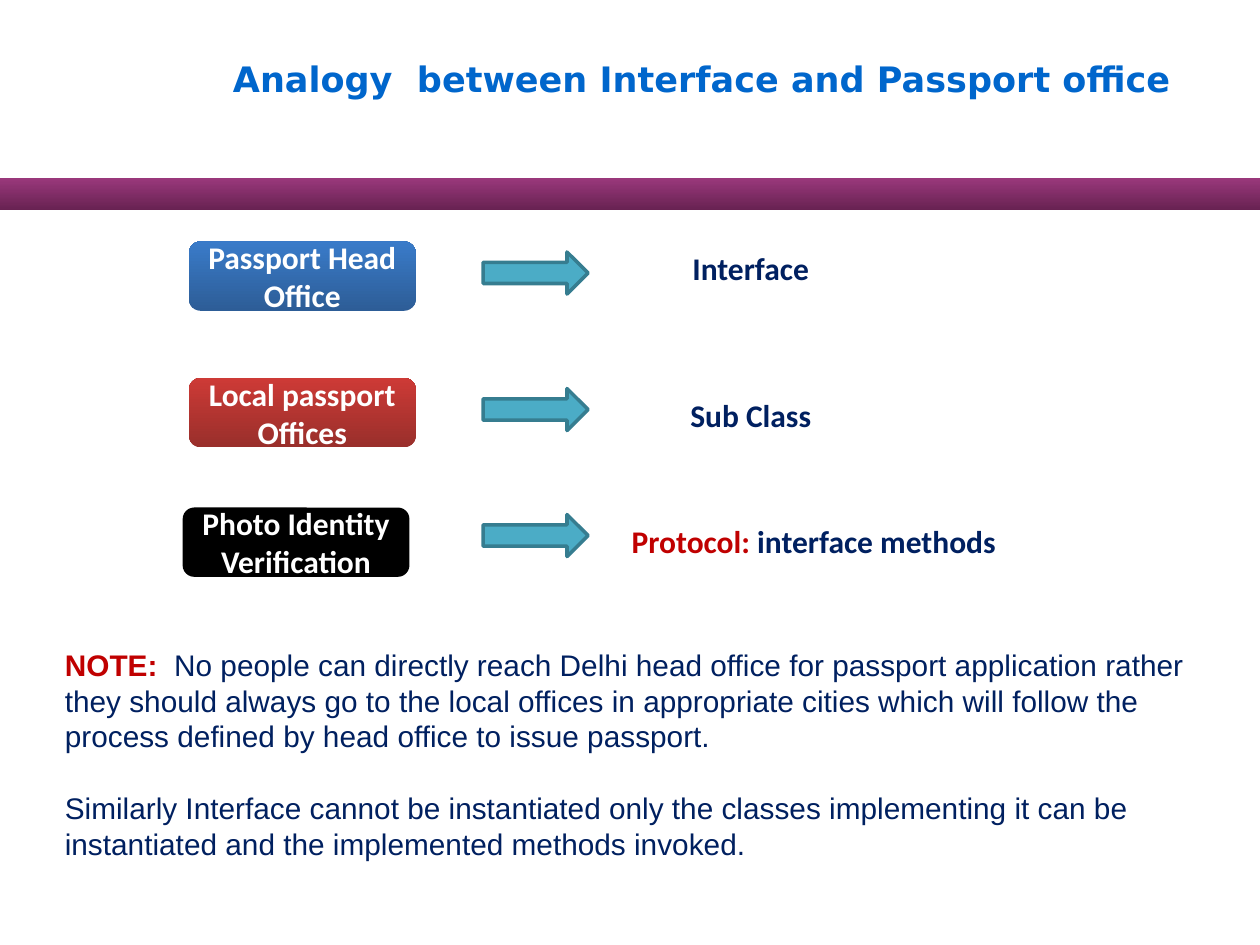
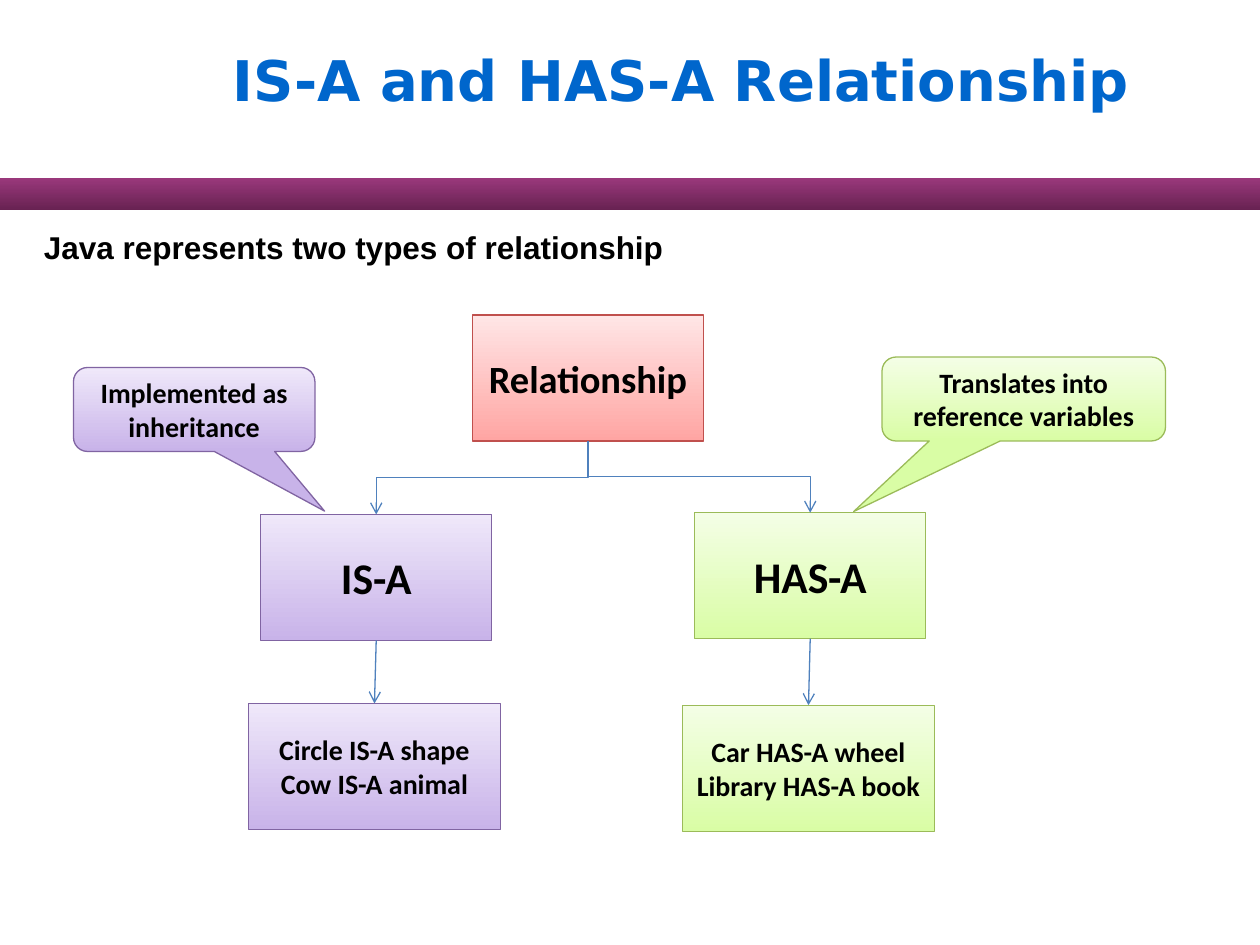
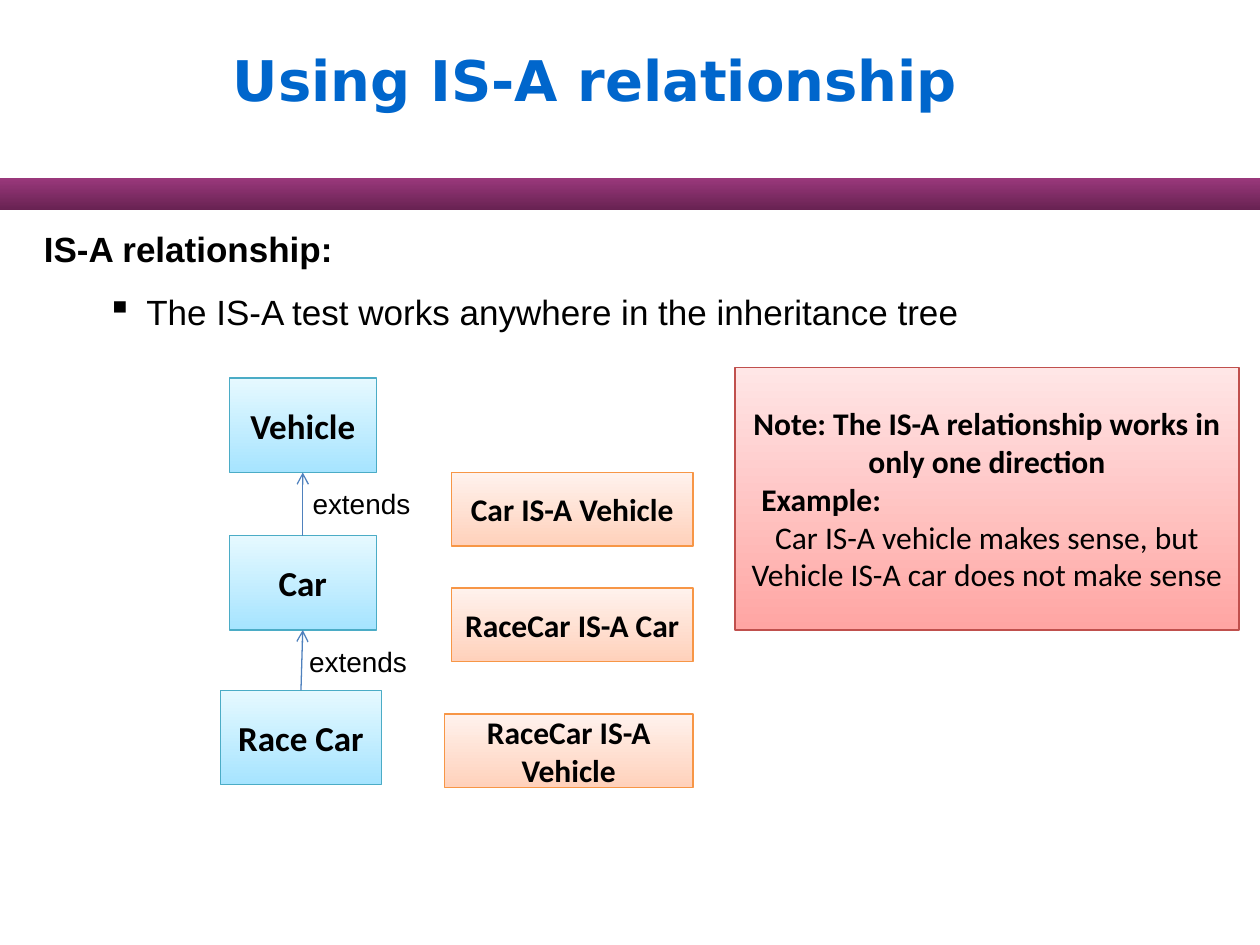
from dataclasses import dataclass

from lxml import etree
from pptx import Presentation
from pptx import util as u
from pptx.dml import color as dml
from pptx.enum import shapes, text
from pptx.oxml import ns

Pt = u.Pt
Kind = shapes.MSO_SHAPE
LEFT, CENTER = text.PP_ALIGN.LEFT, text.PP_ALIGN.CENTER
TOP_SITE, BOTTOM_SITE = 0, 2


@dataclass(frozen=True)
class Tone:
    bottom: str
    top: str
    line: str = ""
    width: float = 0.75


@dataclass(frozen=True)
class Theme:
    title_font: str = "DejaVu Sans"
    body_font: str = "Arial"
    shape_font: str = "Calibri"
    title: str = "0066CC"
    black: str = "000000"
    white: str = "FFFFFF"
    navy: str = "002060"
    alert: str = "C00000"
    connector: str = "4F81BD"
    band: Tone = Tone("682252", "99387B")
    head_office: Tone = Tone("2D5D97", "397BC9")
    local_office: Tone = Tone("992F2B", "CD3A36")
    verification: Tone = Tone("000000", "000000")
    plain: Tone = Tone("FFFFFF", "FFFFFF")
    arrow: Tone = Tone("4BACC6", "4BACC6", "367D90", 2)
    red: Tone = Tone("FFA5A3", "FFE6E6", "C0504D")
    purple: Tone = Tone("C8B3E9", "EFE8FA", "8064A2")
    green: Tone = Tone("D9FDA5", "F4FEE6", "9BBB59")
    blue: Tone = Tone("A6E4FF", "E6F9FF", "4BACC6")
    orange: Tone = Tone("FFD1BB", "FFF2ED", "F79646")
    title_size: int = 32
    small_title_size: int = 20
    node_size: int = 25
    root_size: int = 22
    large_size: int = 20
    medium_size: int = 18
    note_size: int = 17
    small_size: int = 16


def rgb(value):
    return dml.RGBColor.from_string(value)


class Deck:
    """Holds the theme and the current slide, and draws each kind of element."""

    def __init__(self, theme):
        self.theme = theme
        self.presentation = Presentation()
        self.presentation.slide_width = Pt(720)
        self.presentation.slide_height = Pt(540)
        self.slide = None

    def new_slide(self, title, size):
        layout = self.presentation.slide_layouts[6]
        self.slide = self.presentation.slides.add_slide(layout)
        self.box((0, 102, 720, 18), self.theme.band)
        title_box = self.text_box((126, 0, 594, 90), [title], size, self.theme.title,
                                  bold=True, font=self.theme.title_font)
        title_box.text_frame.vertical_anchor = text.MSO_ANCHOR.MIDDLE

    def fill_text(self, shape, lines, size, color, bold, align, font):
        frame = shape.text_frame
        frame.word_wrap = True
        for index, line in enumerate(lines):
            paragraph = frame.add_paragraph() if index else frame.paragraphs[0]
            paragraph.alignment = align
            paragraph.font.size = Pt(size)
            paragraph.font.name = font
            paragraph.font.bold = bold
            paragraph.font.color.rgb = rgb(color)
            if isinstance(line, str):
                paragraph.add_run().text = line
                continue
            for words, run_color, run_bold in line:
                run = paragraph.add_run()
                run.text = words
                run.font.color.rgb = rgb(run_color)
                run.font.bold = run_bold

    def text_box(self, area, lines, size, color, bold=False, font=None):
        shape = self.slide.shapes.add_textbox(*map(Pt, area))
        self.fill_text(shape, lines, size, color, bold, LEFT, font or self.theme.body_font)
        return shape

    def box(self, area, tone, lines=(), size=18, color=None, kind=Kind.RECTANGLE, adjust=()):
        shape = self.slide.shapes.add_shape(kind, *map(Pt, area))
        shape.shadow.inherit = False
        for index, value in enumerate(adjust):
            shape.adjustments[index] = value
        if tone.bottom == tone.top:
            shape.fill.solid()
            shape.fill.fore_color.rgb = rgb(tone.top)
        else:
            shape.fill.gradient()
            shape.fill.gradient_angle = 90
            for stop, value in zip(shape.fill.gradient_stops, (tone.bottom, tone.top)):
                stop.color.rgb = rgb(value)
        if tone.line:
            shape.line.color.rgb = rgb(tone.line)
            shape.line.width = Pt(tone.width)
        else:
            shape.line.fill.background()
        shape.text_frame.vertical_anchor = text.MSO_ANCHOR.MIDDLE
        self.fill_text(shape, lines, size, color or self.theme.black, True, CENTER,
                       self.theme.shape_font)
        return shape

    def style_arrow(self, connector):
        connector.line.color.rgb = rgb(self.theme.connector)
        connector.line.width = Pt(0.75)
        properties = connector._element.spPr
        line = properties.find(ns.qn("a:ln"))
        etree.SubElement(line, ns.qn("a:tailEnd"), type="arrow")
        etree.SubElement(properties, ns.qn("a:effectLst"))

    def straight_arrow(self, start, start_site, end, end_site):
        connector = self.slide.shapes.add_connector(shapes.MSO_CONNECTOR.STRAIGHT, 0, 0, 0, 0)
        connector.begin_connect(start, start_site)
        connector.end_connect(end, end_site)
        self.style_arrow(connector)

    def branch_arrow(self, parent, child):
        start_x, start_y = parent.left + parent.width // 2, parent.top + parent.height
        end_x, end_y = child.left + child.width // 2, child.top
        center_x, center_y = (start_x + end_x) // 2, (start_y + end_y) // 2
        half_run, half_drop = abs(end_x - start_x) // 2, (end_y - start_y) // 2
        side = 1 if end_x > start_x else -1
        connector = self.slide.shapes.add_connector(
            shapes.MSO_CONNECTOR.ELBOW,
            center_x + side * half_drop, center_y - half_run,
            center_x - side * half_drop, center_y + half_run)
        connector._element.spPr.xfrm.set("rot", str((180 + side * 90) * 60000))
        self.style_arrow(connector)

    def indent(self, paragraph, left, first=0, bullet=None):
        properties = paragraph._p.get_or_add_pPr()
        properties.set("marL", str(int(Pt(left))))
        properties.set("indent", str(int(Pt(first))))
        if bullet:
            mark = etree.Element(ns.qn("a:buChar"), char=bullet)
            properties.insert(0, mark)


def passport_slide(deck):
    theme = deck.theme
    deck.new_slide("Analogy  between Interface and Passport office", theme.small_title_size)
    rows = [
        ((108, 138), theme.head_office, "Passport Head Office",
         144, (132, 162), "Interface"),
        ((108, 216), theme.local_office, "Local passport Offices",
         222, (216, 162), "Sub Class"),
        ((104.4, 290), theme.verification, "Photo Identity Verification",
         294, (288, 234), [("Protocol:", theme.alert, True),
                           (" interface methods", theme.navy, True)]),
    ]
    for place, tone, office, arrow_top, (top, width), meaning in rows:
        deck.box((*place, 129.6, 39.6), tone, [office], theme.medium_size, theme.white,
                 Kind.ROUNDED_RECTANGLE)
        deck.box((276, arrow_top, 60, 24), theme.arrow, kind=Kind.RIGHT_ARROW)
        deck.box((348, top, width, 42), theme.plain, [meaning], theme.medium_size, theme.navy,
                 Kind.ROUNDED_RECTANGLE)
    note = deck.text_box((30, 366, 662.4, 129.6), [
        [("NOTE:  ", theme.alert, True),
         ("No people can directly reach Delhi head office for passport application rather "
          "they should always go to the local offices in appropriate cities which will follow "
          "the process defined by head office to issue passport.", theme.navy, False)],
        "Similarly Interface cannot be instantiated only the classes implementing it can be "
        "instantiated and the implemented methods invoked.",
    ], theme.note_size, theme.navy)
    note.text_frame.paragraphs[1].space_before = Pt(20.5)


def relationship_slide(deck):
    theme = deck.theme
    deck.new_slide("IS-A and HAS-A Relationship", theme.title_size)
    deck.text_box((18, 126.5, 684, 390), ["Java represents two types of relationship"],
                  theme.medium_size, theme.black, bold=True)
    root = deck.box((270, 180, 132, 72), theme.red, ["Relationship"], theme.root_size)
    branches = [
        (theme.purple, "IS-A", (149, 294), ["Circle IS-A shape", "Cow IS-A animal"],
         (142, 402), "Implemented as inheritance", (42, 210, 138, 48), (0.54, 1.21)),
        (theme.green, "HAS-A", (397, 293), ["Car HAS-A wheel", "Library HAS-A book"],
         (390, 403), "Translates into reference variables", (504, 204, 162, 48), (-0.6, 1.34)),
    ]
    for tone, name, place, examples, example_place, remark, remark_area, pointer in branches:
        node = deck.box((*place, 132, 72), tone, [name], theme.node_size)
        example = deck.box((*example_place, 144, 72), tone, examples, theme.small_size)
        deck.branch_arrow(root, node)
        deck.straight_arrow(node, BOTTOM_SITE, example, TOP_SITE)
        deck.box(remark_area, tone, [remark], theme.small_size,
                 kind=Kind.ROUNDED_RECTANGULAR_CALLOUT, adjust=pointer)


def is_a_slide(deck):
    theme = deck.theme
    deck.new_slide("Using IS-A relationship", theme.title_size)
    body = deck.text_box((18, 126.5, 558, 390), [
        [("IS-A relationship:", theme.black, True)],
        "The IS-A test works anywhere in the inheritance tree",
    ], theme.large_size, theme.black)
    test = body.text_frame.paragraphs[1]
    deck.indent(test, 58.5, -22.5, "▪")
    test.space_before = Pt(12)

    classes = [("Vehicle", (131, 216, 84, 54)), ("Car", (131, 306, 84, 54)),
               ("Race Car", (126, 394.5, 92, 54))]
    vehicle, car, race_car = [deck.box(area, theme.blue, [name], theme.large_size)
                              for name, area in classes]
    for child, parent, label_place in ((car, vehicle, (171.5, 274.5)),
                                       (race_car, car, (169.5, 365))):
        deck.straight_arrow(child, TOP_SITE, parent, BOTTOM_SITE)
        deck.text_box((*label_place, 74, 26.5), ["extends"], theme.small_size, theme.black)

    facts = [("Car IS-A Vehicle", 258, 270, 138), ("RaceCar IS-A Car", 258, 336, 138),
             ("RaceCar IS-A Vehicle", 254, 408, 142)]
    for fact, left, top, width in facts:
        deck.box((left, top, width, 42), theme.orange, [fact], theme.medium_size)

    note = deck.box((420, 210, 288, 150), theme.red, [
        "Note: The IS-A relationship works in only one direction",
        "Example:",
        "Car IS-A vehicle makes sense, but",
        "Vehicle IS-A car does not make sense",
    ], theme.medium_size)
    example, *sentences = note.text_frame.paragraphs[1:]
    example.alignment = LEFT
    deck.indent(example, 8)
    for sentence in sentences:
        sentence.font.bold = False


def main():
    deck = Deck(Theme())
    passport_slide(deck)
    relationship_slide(deck)
    is_a_slide(deck)
    deck.presentation.save("out.pptx")


if __name__ == "__main__":
    main()
